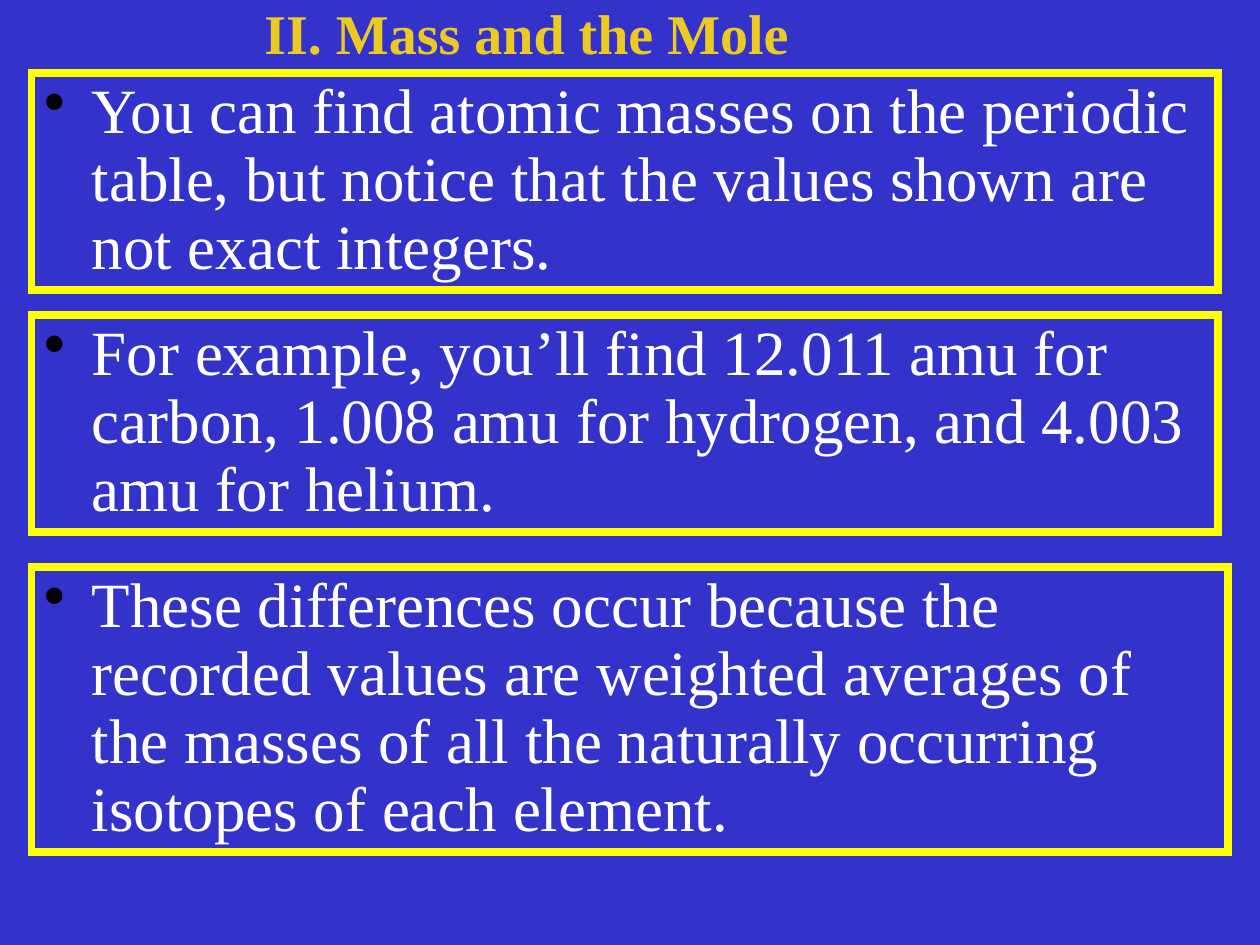
from dataclasses import dataclass

from lxml import etree
from pptx import Presentation
from pptx.dml.color import RGBColor
from pptx.enum.shapes import MSO_SHAPE
from pptx.enum.text import MSO_ANCHOR, MSO_AUTO_SIZE, PP_ALIGN
from pptx.oxml.ns import qn
from pptx.slide import Slide
from pptx.text.text import TextFrame
from pptx.util import Inches, Pt

RECTANGLE = MSO_SHAPE.RECTANGLE
TOP = MSO_ANCHOR.TOP
LEFT = PP_ALIGN.LEFT
FIT_SHAPE = MSO_AUTO_SIZE.SHAPE_TO_FIT_TEXT

BLUE = RGBColor(0x33, 0x33, 0xCC)
YELLOW = RGBColor(0xFF, 0xFF, 0x00)
GOLD = RGBColor(0xEC, 0xCA, 0x22)
WHITE = RGBColor(0xFF, 0xFF, 0xFF)
BLACK = RGBColor(0x00, 0x00, 0x00)

FONT_NAME = "Times New Roman"
SLIDE_WIDTH = Inches(10)
SLIDE_HEIGHT = Inches(7.5)
MARGIN = SLIDE_WIDTH // 40
TITLE_WIDTH = Inches(4.5)
TITLE_HEIGHT = Inches(0.58)
HANGING_INDENT = Inches(0.38)
LINE_SPACING = 0.9


@dataclass(frozen=True)
class FactBox:
    text: str
    top: float
    width: float
    height: float
    space_after: int


FACT_BOXES = (
    FactBox(
        "You can find atomic masses on the periodic table, but notice that "
        "the values shown are not exact integers.",
        0.58, 9.42, 1.72, 8,
    ),
    FactBox(
        "For example, you’ll find 12.011 amu for carbon, 1.008 amu for "
        "hydrogen, and 4.003 amu for helium.",
        2.5, 9.42, 1.72, 8,
    ),
    FactBox(
        "These differences occur because the recorded values are weighted "
        "averages of the masses of all the naturally occurring isotopes of "
        "each element.",
        4.5, 9.5, 2.26, 9,
    ),
)


def add_bullet(paragraph, color: RGBColor) -> None:
    properties = paragraph._p.get_or_add_pPr()
    properties.set("marL", str(HANGING_INDENT))
    properties.set("indent", str(-HANGING_INDENT))
    bullet_color = etree.SubElement(properties, qn("a:buClr"))
    etree.SubElement(bullet_color, qn("a:srgbClr"), val=str(color))
    etree.SubElement(properties, qn("a:buChar"), char="•")


def write_text(
    frame: TextFrame, text: str, size: int, color: RGBColor,
    space_after: int, bold: bool = False, bulleted: bool = False,
) -> None:
    frame.word_wrap = bulleted
    frame.auto_size = FIT_SHAPE
    frame.vertical_anchor = TOP
    paragraph = frame.paragraphs[0]
    paragraph.text = text
    if bulleted:
        add_bullet(paragraph, BLACK)
    paragraph.alignment = LEFT
    paragraph.line_spacing = LINE_SPACING
    paragraph.space_after = Pt(space_after)
    paragraph.font.name = FONT_NAME
    paragraph.font.size = Pt(size)
    paragraph.font.bold = bold
    paragraph.font.color.rgb = color


def add_title(slide: Slide, text: str) -> None:
    title = slide.shapes.add_textbox(
        SLIDE_WIDTH // 5, 0, TITLE_WIDTH, TITLE_HEIGHT
    )
    write_text(title.text_frame, text, 32, GOLD, 8, bold=True)


def add_fact_box(slide: Slide, fact: FactBox) -> None:
    shape = slide.shapes.add_shape(
        RECTANGLE, MARGIN, Inches(fact.top),
        Inches(fact.width), Inches(fact.height),
    )
    shape.shadow.inherit = False
    shape.fill.background()
    shape.line.color.rgb = YELLOW
    shape.line.width = Pt(4.5)
    outline = shape._element.spPr.find(qn("a:ln"))
    etree.SubElement(outline, qn("a:miter"), lim="800000")
    write_text(
        shape.text_frame, fact.text, 36, WHITE, fact.space_after, bulleted=True
    )


def main() -> None:
    presentation = Presentation()
    presentation.slide_width = SLIDE_WIDTH
    presentation.slide_height = SLIDE_HEIGHT
    slide = presentation.slides.add_slide(presentation.slide_layouts[6])
    slide.background.fill.solid()
    slide.background.fill.fore_color.rgb = BLUE
    add_title(slide, "II. Mass and the Mole")
    for fact in FACT_BOXES:
        add_fact_box(slide, fact)
    presentation.save("out.pptx")


if __name__ == "__main__":
    main()
